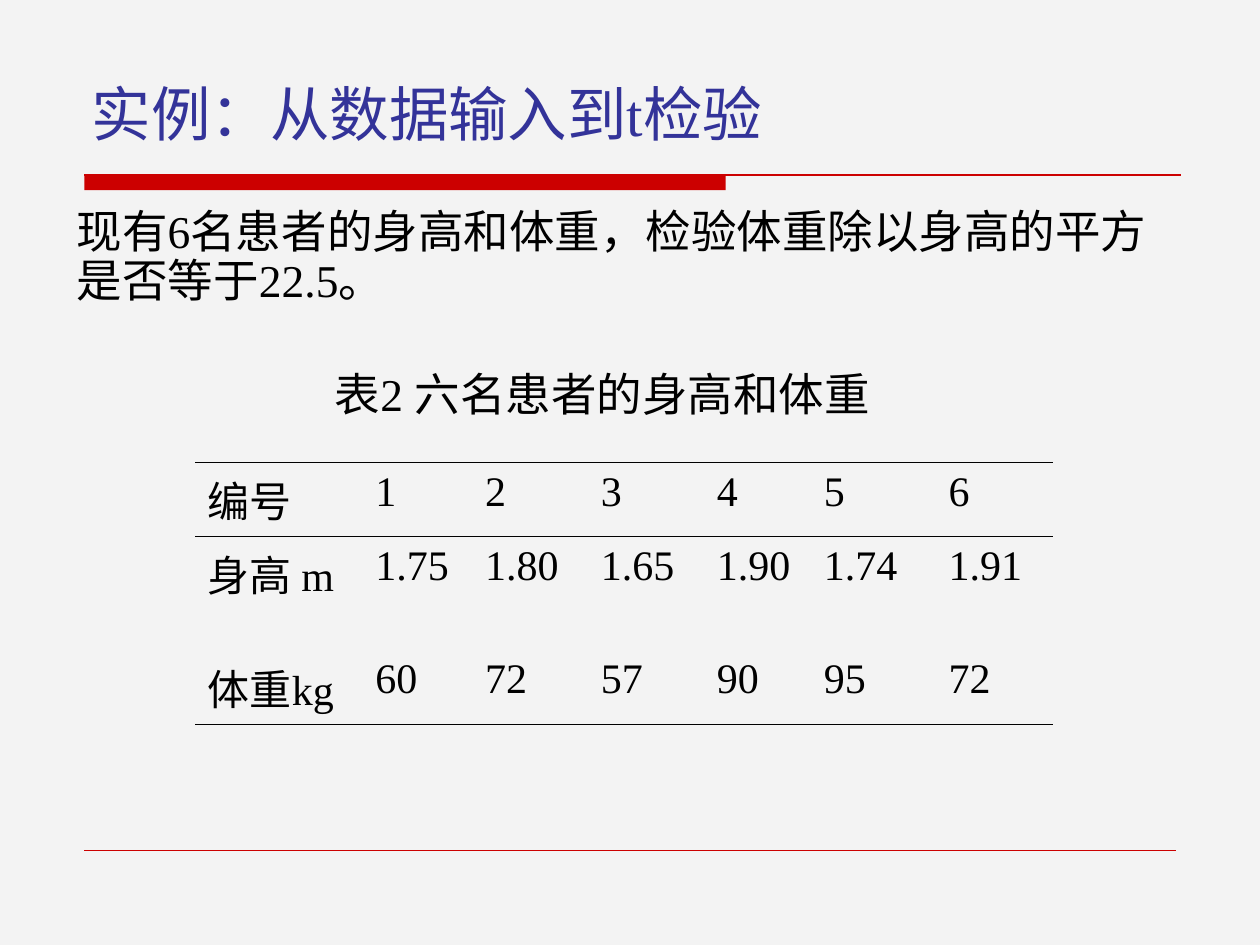
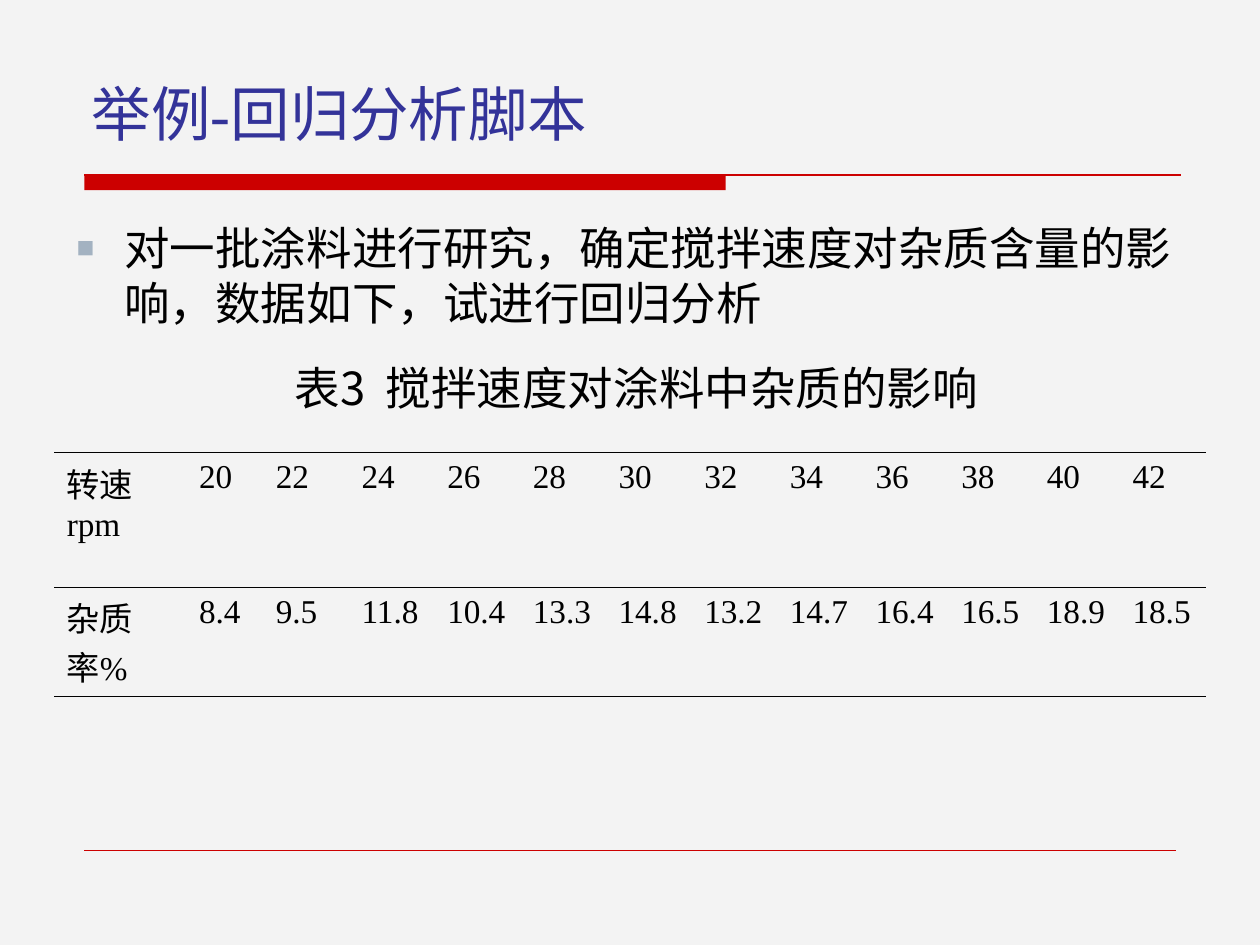
from lxml.etree import SubElement
from pptx import Presentation
from pptx.dml.color import RGBColor
from pptx.enum.shapes import MSO_CONNECTOR, MSO_SHAPE
from pptx.enum.text import MSO_ANCHOR, MSO_AUTO_SIZE, PP_ALIGN
from pptx.oxml import parse_xml
from pptx.oxml.ns import nsdecls, qn
from pptx.util import Inches, Pt

TIMES, ARIAL, NOTO = "Times New Roman", "Arial", "Noto Sans CJK SC"
HUES = {"back": "F3F3F3", "band": "CC0000", "title": "333399",
        "text": "000000", "mark": "A3B2C1"}

PAGES = [
    {
        "title": "实例：从数据输入到t检验",
        "notes": [
            ("表2 六名患者的身高和体重", (2.56, 2.86, 5.43, 0.54), {}),
            ("现有6名患者的身高和体重，检验体重除以身高的平方是否等于22.5。",
             (0.51, 1.61, 8.74, 0.88), {"space": 0.9}),
        ],
        "rows": [
            ["编号", "1", "2", "3", "4", "5", "6"],
            ["身高 m", "1.75", "1.80", "1.65", "1.90", "1.74", "1.91"],
            ["体重kg", "60", "72", "57", "90", "95", "72"],
        ],
        "spot": (1.55, 3.67),
        "wide": [1.33, 0.87, 0.92, 0.92, 0.85, 0.99, 0.93],
        "high": [0.59, 0.9, 0.59],
        "size": 24,
    },
    {
        "title": "举例-回归分析脚本",
        "notes": [
            ("对一批涂料进行研究，确定搅拌速度对杂质含量的影响，数据如下，试进行回归分析",
             (0.51, 1.7, 9.06, 0.97), {"font": ARIAL, "mark": "■"}),
            ("表3  搅拌速度对涂料中杂质的影响",
             (2.24, 2.81, 6.38, 0.54), {"font": NOTO}),
        ],
        "rows": [
            ["转速rpm", "20", "22", "24", "26", "28", "30",
             "32", "34", "36", "38", "40", "42"],
            ["杂质率%", "8.4", "9.5", "11.8", "10.4", "13.3", "14.8",
             "13.2", "14.7", "16.4", "16.5", "18.9", "18.5"],
        ],
        "spot": (0.43, 3.59),
        "wide": [1.05, 0.61] + [0.68] * 11,
        "high": [1.07, 0.86],
        "size": 19,
    },
]


def hue(name):
    return RGBColor.from_string(HUES[name])


def write(frame, text, size=26, font=TIMES, color="text", space=None, mark=None):
    frame.word_wrap = True
    para = frame.paragraphs[0]
    para.alignment = PP_ALIGN.LEFT
    if mark:
        props = para._p.get_or_add_pPr()
        props.set("marL", str(Inches(0.38)))
        props.set("indent", str(Inches(-0.38)))
        tint = SubElement(props, qn("a:buClr"))
        SubElement(tint, qn("a:srgbClr"), val=HUES["mark"])
        SubElement(props, qn("a:buSzPct"), val="65000")
        SubElement(props, qn("a:buFont"), typeface=ARIAL)
        SubElement(props, qn("a:buChar"), char=mark)
    if space:
        para.line_spacing = space
    run = para.add_run()
    run.text = text
    run.font.size = Pt(size)
    run.font.bold = False
    run.font.color.rgb = hue(color)
    run.font.name = font
    SubElement(run._r.get_or_add_rPr(), qn("a:ea"), typeface=NOTO)


def rule(slide, left, right, y, weight):
    line = slide.shapes.add_connector(
        MSO_CONNECTOR.STRAIGHT, Inches(left), Inches(y), Inches(right), Inches(y))
    line.line.color.rgb = hue("band")
    line.line.width = Pt(weight)
    SubElement(line._element.spPr, qn("a:effectLst"))


def frame_page(slide, text):
    band = slide.shapes.add_shape(
        MSO_SHAPE.RECTANGLE, Inches(0.67), Inches(1.39), Inches(5.09), Inches(0.12))
    band.shadow.inherit = False
    band.fill.solid()
    band.fill.fore_color.rgb = hue("band")
    band.line.fill.background()
    rule(slide, 0.67, 9.37, 1.39, 0.75)
    rule(slide, 0.67, 9.33, 6.75, 0.25)
    title = slide.shapes.title
    title.left, title.top, title.width, title.height = map(
        Inches, (0.63, 0.33, 8.75, 0.9))
    title.text_frame.auto_size = MSO_AUTO_SIZE.NONE
    title.text_frame.vertical_anchor = MSO_ANCHOR.BOTTOM
    write(title.text_frame, text, size=34, color="title", space=1.1)


def edge(cell, sides):
    props = cell._tc.get_or_add_tcPr()
    for spot, side in enumerate("LRTB"):
        paint = "<a:noFill/>"
        if side in sides:
            paint = f'<a:solidFill><a:srgbClr val="{HUES["text"]}"/></a:solidFill>'
        props.insert(spot, parse_xml(
            f'<a:ln{side} {nsdecls("a")} w="{Pt(0.45)}">{paint}</a:ln{side}>'))


def add_grid(slide, page):
    rows, wide, high = page["rows"], page["wide"], page["high"]
    grid = slide.shapes.add_table(
        len(rows), len(wide), *map(Inches, page["spot"]),
        Inches(sum(wide)), Inches(sum(high))).table
    grid.first_row = grid.horz_banding = False
    for col, width in zip(grid.columns, wide):
        col.width = Inches(width)
    last = len(rows) - 1
    for r, row in enumerate(rows):
        grid.rows[r].height = Inches(high[r])
        sides = ("T" if r < 2 else "") + ("B" if r in (0, last) else "")
        for c, text in enumerate(row):
            cell = grid.cell(r, c)
            cell.fill.background()
            edge(cell, sides)
            write(cell.text_frame, text, size=page["size"])


def main():
    deck = Presentation()
    deck.slide_width, deck.slide_height = Inches(10), Inches(7.5)
    back = deck.slide_master.background.fill
    back.solid()
    back.fore_color.rgb = hue("back")
    for page in PAGES:
        slide = deck.slides.add_slide(deck.slide_layouts[5])
        frame_page(slide, page["title"])
        add_grid(slide, page)
        for text, place, style in page["notes"]:
            box = slide.shapes.add_textbox(*map(Inches, place))
            write(box.text_frame, text, **style)
    deck.save("out.pptx")


if __name__ == "__main__":
    main()
